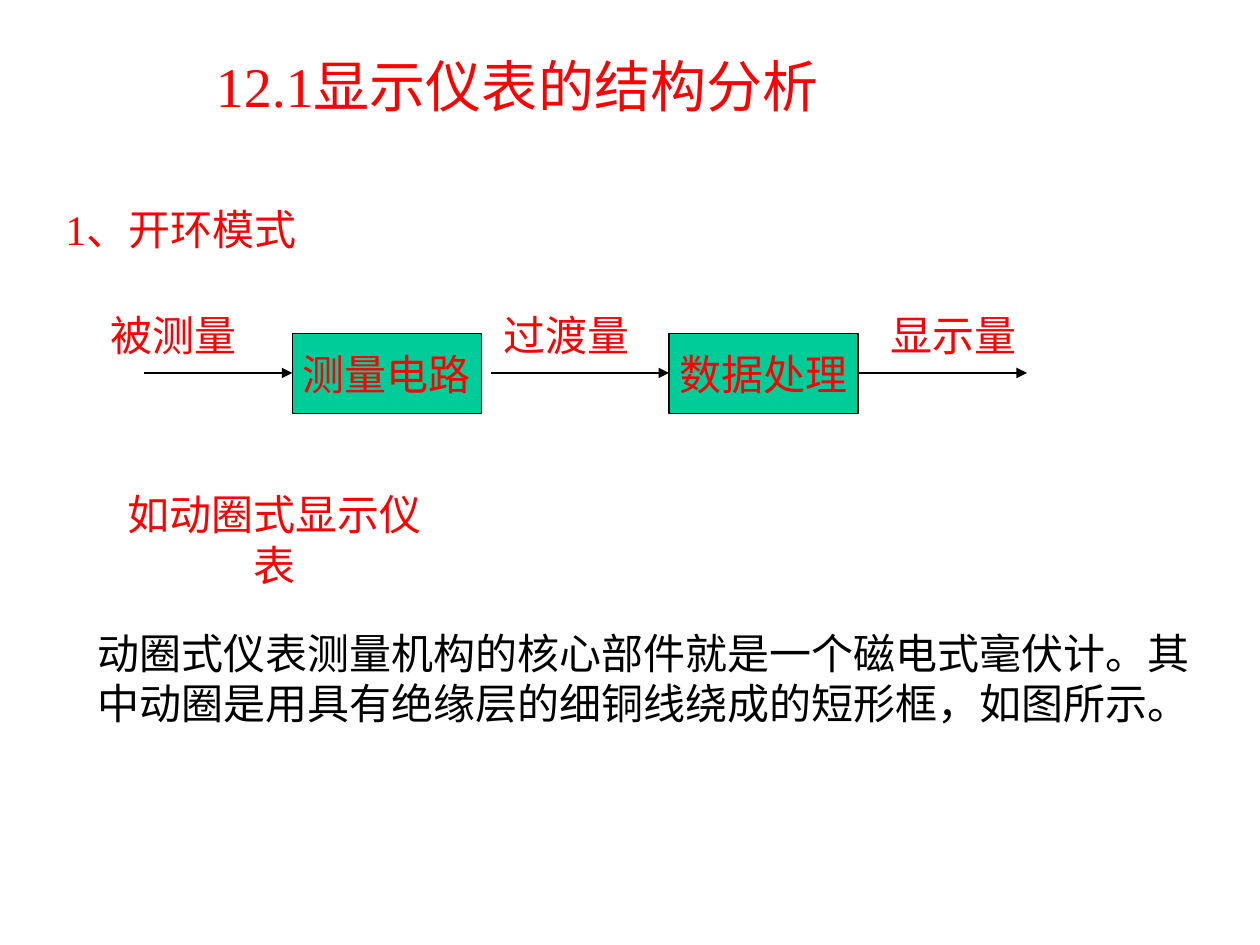
from typing import NamedTuple

from lxml.etree import SubElement
from pptx import Presentation
from pptx.dml.color import RGBColor
from pptx.enum.shapes import MSO_CONNECTOR, MSO_SHAPE
from pptx.enum.text import MSO_ANCHOR, MSO_AUTO_SIZE, PP_ALIGN
from pptx.oxml.ns import qn
from pptx.util import Inches, Pt

FONT = "Times New Roman"
RED, GREEN, BLACK = "FF0000", "00CC99", "000000"
LABEL_TOP, BOX_TOP, ARROW_Y = 2.41, 2.65, 2.96
BOX_W, BOX_H = 1.5, 0.63


class Label(NamedTuple):
    text: str
    left: float
    top: float
    width: float
    height: float = 0.5
    size: int = 24
    color: str = RED
    wrap: bool = False


class Block(NamedTuple):
    text: str
    left: float


class Arrow(NamedTuple):
    start: float
    end: float


LABELS = [
    Label("12.1显示仪表的结构分析", 1.56, 0.36, 5.09, 0.64, size=32),
    Label("1、开环模式", 0.38, 1.57, 2.11),
    Label("被测量", 0.78, LABEL_TOP, 1.2),
    Label("过渡量", 3.9, LABEL_TOP, 1.2),
    Label("显示量", 6.97, LABEL_TOP, 1.2),
    Label("如动圈式显示仪表", 0.75, 3.83, 2.86),
    Label("动圈式仪表测量机构的核心部件就是一个磁电式毫伏计。"
          "其中动圈是用具有绝缘层的细铜线绕成的短形框，如图所示。",
          0.59, 4.93, 9.03, 0.9, color=BLACK, wrap=True),
]
BLOCKS = [Block("测量电路", 2.32), Block("数据处理", 5.31)]
ARROWS = [Arrow(1.14, 2.32), Arrow(3.9, 5.31), Arrow(6.81, 8.15)]


def rgb(color: str) -> RGBColor:
    return RGBColor.from_string(color)


def write(tf, text: str, size: int, color: str, wrap: bool = False) -> None:
    """Put one centred paragraph into a text frame."""
    tf.word_wrap = wrap
    p = tf.paragraphs[0]
    p.text = text
    p.alignment = PP_ALIGN.CENTER
    p.font.name = FONT
    p.font.size = Pt(size)
    p.font.color.rgb = rgb(color)


def add_label(slide, label: Label) -> None:
    sp = slide.shapes.add_textbox(Inches(label.left), Inches(label.top),
                                  Inches(label.width), Inches(label.height))
    write(sp.text_frame, label.text, label.size, label.color, label.wrap)
    sp.text_frame.auto_size = MSO_AUTO_SIZE.SHAPE_TO_FIT_TEXT


def add_block(slide, block: Block) -> None:
    sp = slide.shapes.add_shape(MSO_SHAPE.RECTANGLE, Inches(block.left), Inches(BOX_TOP),
                                Inches(BOX_W), Inches(BOX_H))
    sp.shadow.inherit = False
    sp.fill.solid()
    sp.fill.fore_color.rgb = rgb(GREEN)
    sp.line.color.rgb = rgb(BLACK)
    sp.line.width = Pt(0.75)
    sp.text_frame.vertical_anchor = MSO_ANCHOR.MIDDLE
    write(sp.text_frame, block.text, 24, RED)


def add_arrow(slide, arrow: Arrow) -> None:
    line = slide.shapes.add_connector(MSO_CONNECTOR.STRAIGHT, Inches(arrow.start), Inches(ARROW_Y),
                                      Inches(arrow.end), Inches(ARROW_Y))
    line.line.color.rgb = rgb(BLACK)
    line.line.width = Pt(0.75)
    SubElement(line.line._get_or_add_ln(), qn("a:tailEnd"), type="triangle")
    SubElement(line._element.spPr, qn("a:effectLst"))


def main() -> None:
    prs = Presentation()
    prs.slide_width, prs.slide_height = Inches(10), Inches(7.5)
    slide = prs.slides.add_slide(prs.slide_layouts[6])
    for block in BLOCKS:
        add_block(slide, block)
    for arrow in ARROWS:
        add_arrow(slide, arrow)
    for label in LABELS:
        add_label(slide, label)
    prs.save("out.pptx")


if __name__ == "__main__":
    main()
